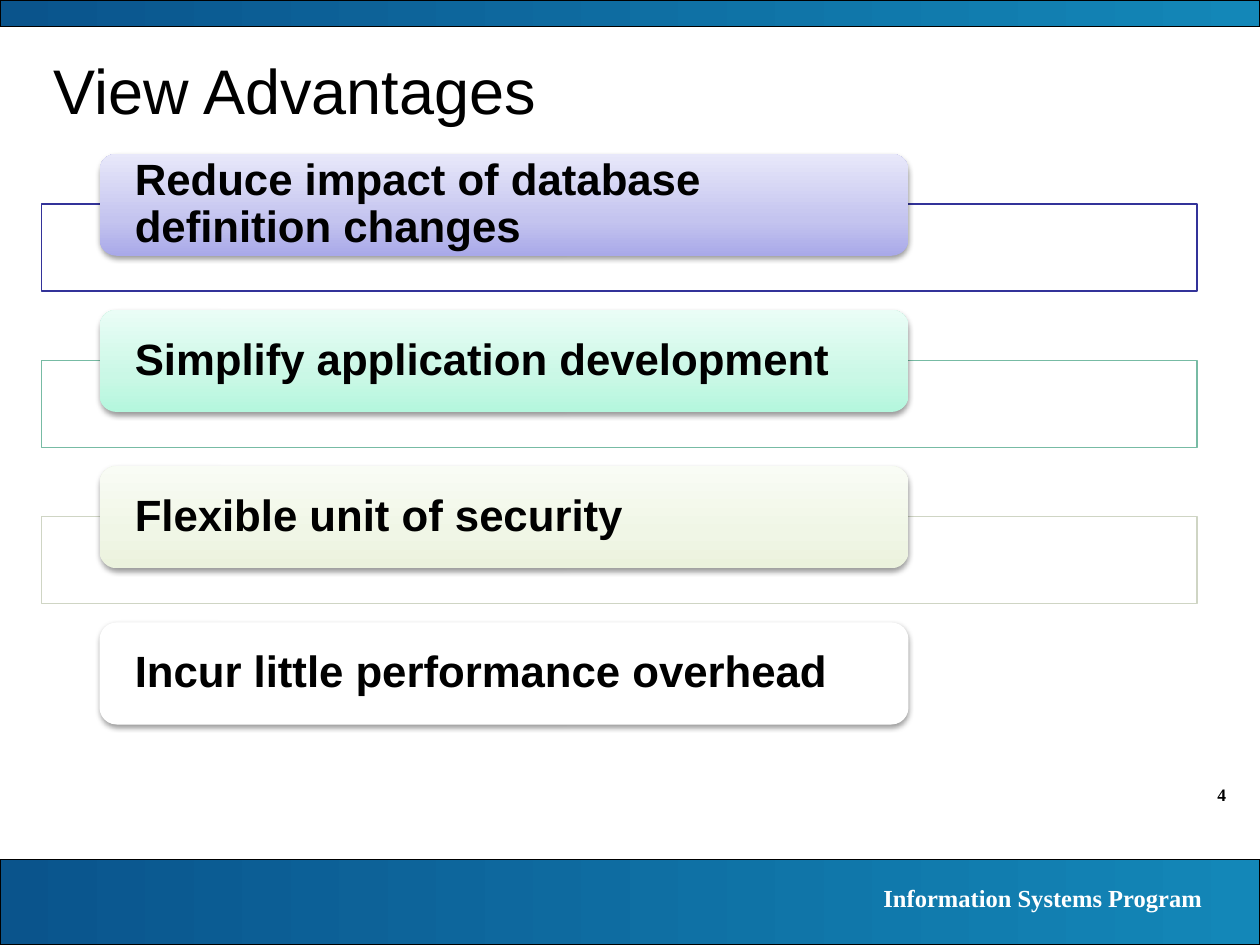
import copy
import lxml.etree
import pptx
import pptx.dml.color
import pptx.enum.shapes
import pptx.enum.text
import pptx.oxml.ns
import pptx.util

COLORS = {
    "black": "000000",
    "white": "FFFFFF",
    "band": ["0A548C", "1387B8"],
    "indigo": ["A9A9E9", "C4C4EF", "E8E8FA"],
    "indigo line": "333399",
    "mint": ["B4F7DD", "CAF8E6", "EAFDF6"],
    "mint line": "77BBA4",
    "olive": ["EBF2DD", "F0F6E6", "F9FCF5"],
    "olive line": "CFD5C4",
}
ADVANTAGES = [
    ("Reduce impact of database definition changes", "indigo", "indigo line"),
    ("Simplify application development", "mint", "mint line"),
    ("Flexible unit of security", "olive", "olive line"),
    ("Incur little performance overhead", "white", "white"),
]
SLIDE_WIDTH, SLIDE_HEIGHT = 10, 7.5
FRAME_LEFT, FRAME_WIDTH, FRAME_HEIGHT = 0.33, 9.17, 0.69
LABEL_LEFT, LABEL_WIDTH, LABEL_HEIGHT = 0.79, 6.42, 0.81
FIRST_ROW, ROW_PITCH, FRAME_DROP = 1.22, 1.24, 0.4

rgb = pptx.dml.color.RGBColor.from_string
qn = pptx.oxml.ns.qn
Shape = pptx.enum.shapes.MSO_SHAPE
Align = pptx.enum.text.PP_ALIGN


def add_panel(preset, box, fill, angle=0, line=None):
    panel = slide.shapes.add_shape(preset, *map(pptx.util.Inches, box))
    panel.shadow.inherit = False
    if isinstance(fill, list):
        panel.fill.gradient()
        panel.fill.gradient_angle = angle
        stops = panel.fill.gradient_stops
        for stop, color, position in zip(stops, (fill[0], fill[-1]), (0, 1)):
            stop.color.rgb = rgb(color)
            stop.position = position
        if len(fill) == 3:
            stop_list = panel._element.spPr.find(".//" + qn("a:gsLst"))
            stop_list.insert(1, copy.deepcopy(stop_list[0]))
            middle = panel.fill.gradient_stops[1]
            middle.color.rgb = rgb(fill[1])
            middle.position = 0.35
    else:
        panel.fill.solid()
        panel.fill.fore_color.rgb = rgb(fill)
    if line:
        panel.line.color.rgb = rgb(line)
        panel.line.width = pptx.util.Pt(0.75)
    else:
        panel.line.fill.background()
    return panel


def write_text(holder, text, size, font, color, bold, align, anchor):
    frame = holder.text_frame
    frame.word_wrap = True
    frame.vertical_anchor = anchor
    paragraph = frame.paragraphs[0]
    paragraph.text = text
    paragraph.alignment = align
    paragraph.font.size = pptx.util.Pt(size)
    paragraph.font.name = font
    paragraph.font.bold = bold
    paragraph.font.color.rgb = rgb(COLORS[color])
    return paragraph


deck = pptx.Presentation()
deck.slide_width = pptx.util.Inches(SLIDE_WIDTH)
deck.slide_height = pptx.util.Inches(SLIDE_HEIGHT)
slide = deck.slides.add_slide(deck.slide_layouts[6])

for top, height in [(6.82, 0.68), (0, 0.21)]:
    add_panel(Shape.RECTANGLE, (0, top, SLIDE_WIDTH, height), COLORS["band"], line=COLORS["black"])

TOP, MIDDLE = pptx.enum.text.MSO_ANCHOR.TOP, pptx.enum.text.MSO_ANCHOR.MIDDLE
for box, *style in [
    ((9, 6.17, 0.83, 0.27), "4", 10, "Times New Roman", "black", True, Align.RIGHT, TOP),
    ((5.55, 6.96, 4.09, 0.34), "Information Systems Program", 14, "Times New Roman", "white", True, Align.RIGHT, TOP),
    ((FRAME_LEFT, 0.33, FRAME_WIDTH, 0.75), "View Advantages", 36, "Arial", "black", False, Align.LEFT, MIDDLE),
]:
    write_text(slide.shapes.add_textbox(*map(pptx.util.Inches, box)), *style)

for row, (advantage, fill, outline) in enumerate(ADVANTAGES):
    top = FIRST_ROW + row * ROW_PITCH
    frame = add_panel(
        Shape.RECTANGLE, (FRAME_LEFT, top + FRAME_DROP, FRAME_WIDTH, FRAME_HEIGHT),
        COLORS["white"], line=COLORS[outline],
    )
    frame_color = frame._element.spPr.find(qn("a:solidFill"))[0]
    lxml.etree.SubElement(frame_color, qn("a:alpha"), val="90000")

    label = add_panel(
        Shape.ROUNDED_RECTANGLE, (LABEL_LEFT, top, LABEL_WIDTH, LABEL_HEIGHT), COLORS[fill], angle=90
    )
    effects = label._element.spPr.find(qn("a:effectLst"))
    shadow = lxml.etree.SubElement(
        effects, qn("a:outerShdw"), blurRad=str(pptx.util.Pt(3.1)),
        dist=str(pptx.util.Pt(1.6)), dir="5400000", rotWithShape="0",
    )
    shadow_color = lxml.etree.SubElement(shadow, qn("a:srgbClr"), val=COLORS["black"])
    lxml.etree.SubElement(shadow_color, qn("a:alpha"), val="38000")

    label.text_frame.margin_left = label.text_frame.margin_right = pptx.util.Inches(0.24)
    label.text_frame.margin_top = label.text_frame.margin_bottom = 0
    paragraph = write_text(label, advantage, 25, "Arial", "black", True, Align.LEFT, MIDDLE)
    paragraph.line_spacing = 0.9

deck.save("out.pptx")
